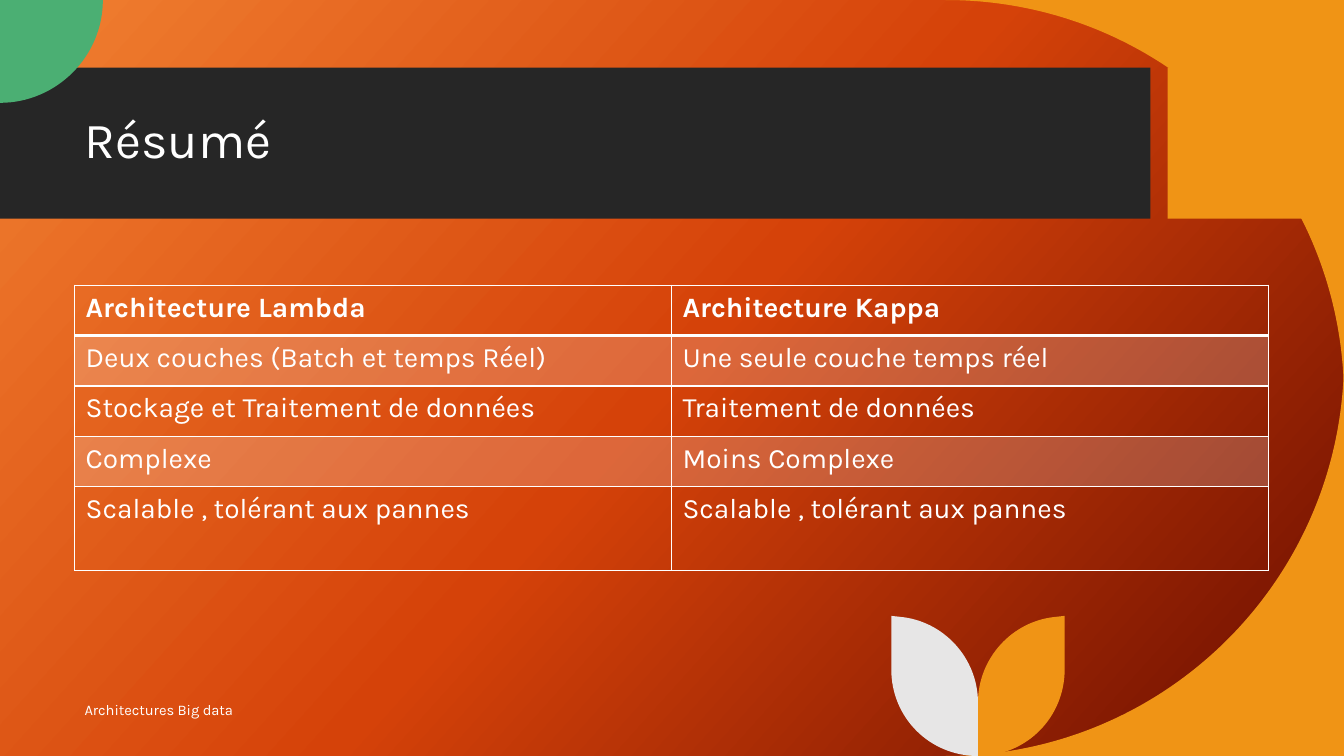
from copy import deepcopy
from dataclasses import dataclass

from lxml.etree import SubElement
from pptx import Presentation
from pptx.dml.color import RGBColor
from pptx.enum.shapes import MSO_SHAPE as Preset
from pptx.enum.text import MSO_ANCHOR as Anchor, PP_ALIGN as Align
from pptx.oxml.ns import qn
from pptx.util import Inches, Pt


@dataclass(frozen=True)
class Theme:
    font: str = "Karla"
    white: str = "FFFFFF"
    dark: str = "262626"
    amber: str = "F09415"
    green: str = "4BAF73"
    grey: str = "E7E6E6"
    gradient: tuple = ((0, "F18031"), (0.5, "D54209"), (1, "6A0D00"))
    gradient_angle: int = 42
    title_size: float = 36
    table_size: float = 20
    footer_size: float = 10.5
    band_opacity: int = 20
    line: float = 1
    header_line: float = 2


THEME = Theme()
TITLE = "Résumé"
FOOTER = "Architectures Big data"
ROWS = [
    ("Architecture Lambda", "Architecture Kappa"),
    ("Deux couches (Batch et temps Réel)", "Une seule couche temps réel"),
    ("Stockage et Traitement de données", "Traitement de données"),
    ("Complexe", "Moins Complexe"),
    ("Scalable , tolérant aux pannes", "Scalable , tolérant aux pannes"),
]
ROW_HEIGHTS = [0.5, 0.5, 0.5, 0.5, 0.83]
WIDTH, HEIGHT = 13.33, 7.5
LEFT = 0.74
BARS = [(0, 11.41, THEME.dark), (11.58, 1.75, THEME.amber)]
CORNERS = [
    [((9.38, 0), (11.57, 0), (13.33, 1.77), (13.33, 3.95)), (13.33, 0)],
    [((13.33, 3.55), (13.33, 5.73), (11.57, 7.5), (9.38, 7.5)), (13.33, 7.5)],
]
QUARTER_DISC = [((1.02, 0), (1.02, 0.56), (0.56, 1.02), (0, 1.02)), (0, 0)]
STEM = 9.7
LEAF = [
    ((0.86, 6.64), (0.86, 7.12), (0.48, 7.5), (0, 7.5)),
    ((0, 6.97), (0, 6.53), (0.34, 6.16), (0.77, 6.12)),
    (0.86, 6.11),
]


def colour(code):
    """Turn a hex code into a colour."""
    return RGBColor.from_string(code)


def paint(shape, code):
    """Give a shape a plain fill without line or shadow."""
    shape.shadow.inherit = False
    shape.fill.solid()
    shape.fill.fore_color.rgb = colour(code)
    shape.line.fill.background()


def add_outline(slide, parts, code, origin=0, direction=1):
    """Draw a closed outline of points and four-point cubic curves."""
    points, curve_starts = [], []
    for part in parts:
        if len(part) == 4:
            curve_starts.append(len(points))
            points += part
        else:
            points.append(part)
    points = [(Inches(origin + direction * x), Inches(y)) for x, y in points]
    builder = slide.shapes.build_freeform(*points[0])
    builder.add_line_segments(points[1:], close=True)
    shape = builder.convert_to_shape()
    outline = shape._element.find(".//" + qn("a:path"))
    segments = list(outline)
    for start in curve_starts:
        controls = segments[start + 1:start + 4]
        curve = SubElement(outline, qn("a:cubicBezTo"))
        controls[0].addprevious(curve)
        for control in controls:
            curve.append(control[0])
            outline.remove(control)
    paint(shape, code)


def write(frame, text, size, bold=False):
    """Put one left-aligned paragraph into a text frame."""
    frame.text = text
    paragraph = frame.paragraphs[0]
    paragraph.alignment = Align.LEFT
    font = paragraph.font
    font.name, font.size, font.bold = THEME.font, Pt(size), bold
    font.color.rgb = colour(THEME.white)
    return paragraph


def add_background(slide):
    """Fill the background with the slanted gradient."""
    fill = slide.background.fill
    fill.gradient()
    stop_list = slide._element.find(".//" + qn("a:gsLst"))
    stop_list.append(deepcopy(stop_list[-1]))
    for stop, (position, code) in zip(fill.gradient_stops, THEME.gradient):
        stop.position = position
        stop.color.rgb = colour(code)
    fill.gradient_angle = 360 - THEME.gradient_angle


def add_border(cell, side, width):
    """Draw one side of a cell."""
    line = SubElement(cell._tc.get_or_add_tcPr(), qn("a:ln" + side), w=str(Pt(width)))
    fill = SubElement(line, qn("a:solidFill"))
    SubElement(fill, qn("a:srgbClr"), val=THEME.white)


def format_cell(cell, text, row):
    """Write a cell and set its borders and band."""
    write(cell.text_frame, text, THEME.table_size, bold=row == 0)
    cell.margin_left = cell.margin_right = Inches(0.11)
    cell.margin_top = cell.margin_bottom = Inches(0.06)
    header_sides = {(0, "B"), (1, "T")}
    for side in "LRTB":
        add_border(cell, side, THEME.header_line if (row, side) in header_sides else THEME.line)
    if row % 2:
        cell.fill.solid()
        cell.fill.fore_color.rgb = colour(THEME.white)
        tint = cell._tc.tcPr.find(qn("a:solidFill") + "/" + qn("a:srgbClr"))
        SubElement(tint, qn("a:alpha"), val=str(THEME.band_opacity * 1000))
    else:
        cell.fill.background()


def add_comparison(slide):
    """Add the table of the two architectures."""
    frame = slide.shapes.add_table(
        len(ROWS), len(ROWS[0]), Inches(LEFT), Inches(2.83),
        Inches(5.92 * len(ROWS[0])), Inches(sum(ROW_HEIGHTS)))
    table = frame.table
    table.horz_banding = False
    for row, (texts, height) in enumerate(zip(ROWS, ROW_HEIGHTS)):
        table.rows[row].height = Inches(height)
        for column, text in enumerate(texts):
            format_cell(table.cell(row, column), text, row)


def main():
    """Build the summary slide."""
    presentation = Presentation()
    presentation.slide_width, presentation.slide_height = Inches(WIDTH), Inches(HEIGHT)
    slide = presentation.slides.add_slide(presentation.slide_layouts[5])
    add_background(slide)

    for left, width, code in BARS:
        bar = slide.shapes.add_shape(
            Preset.RECTANGLE, Inches(left), Inches(0.67), Inches(width), Inches(1.5))
        paint(bar, code)
    for corner in CORNERS:
        add_outline(slide, corner, THEME.amber)
    add_outline(slide, QUARTER_DISC, THEME.green)
    for direction, code in ((1, THEME.amber), (-1, THEME.grey)):
        add_outline(slide, LEAF, code, STEM, direction)

    title = slide.shapes.title
    slide.shapes._spTree.append(title._element)
    title.left, title.top = Inches(LEFT), Inches(0.82)
    title.width, title.height = Inches(10.51), Inches(1.18)
    title.text_frame.vertical_anchor = Anchor.MIDDLE
    write(title.text_frame, TITLE, THEME.title_size).line_spacing = 0.9

    footer = slide.shapes.add_textbox(Inches(LEFT), Inches(6.84), Inches(7.51), Inches(0.4))
    footer.text_frame.word_wrap = True
    footer.text_frame.vertical_anchor = Anchor.MIDDLE
    write(footer.text_frame, FOOTER, THEME.footer_size).space_after = Pt(6)

    add_comparison(slide)
    presentation.save("out.pptx")


if __name__ == "__main__":
    main()
